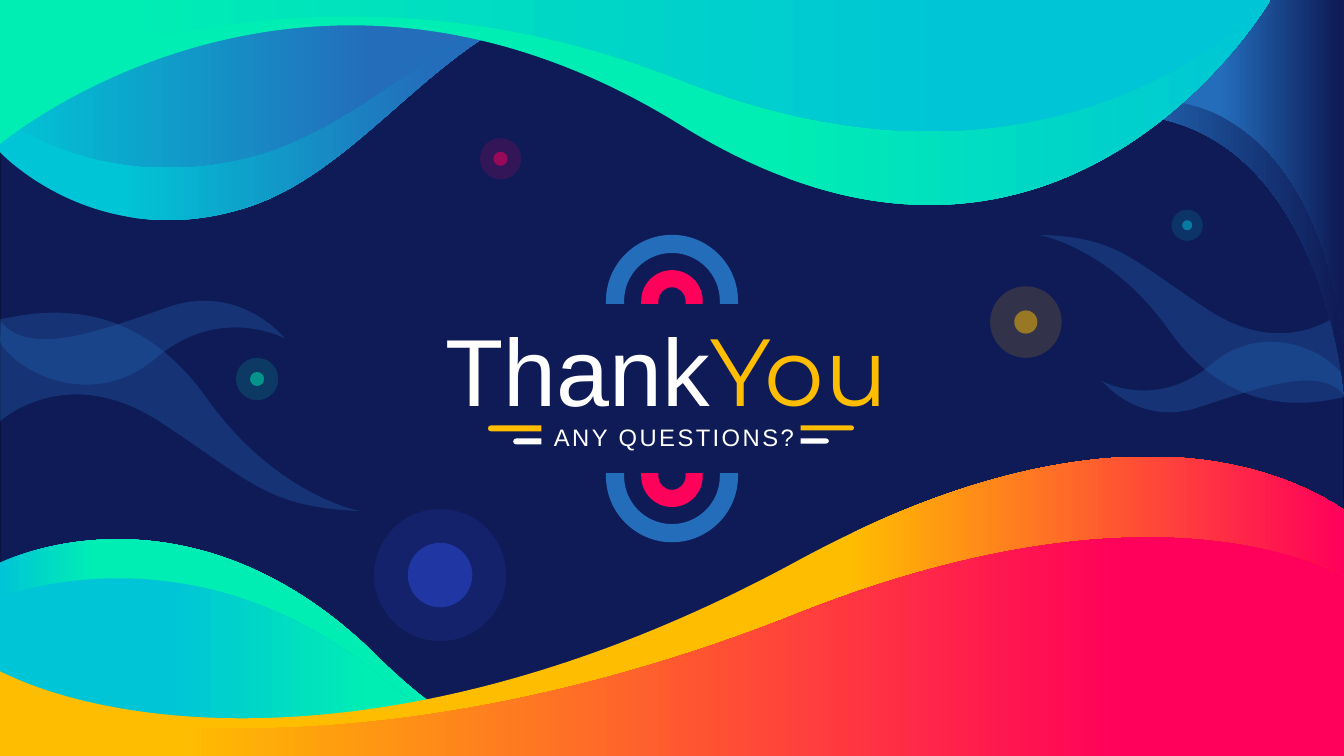
from dataclasses import dataclass

from lxml import etree
from pptx import Presentation
from pptx.dml.color import RGBColor
from pptx.enum.shapes import MSO_SHAPE
from pptx.enum.text import MSO_ANCHOR, MSO_AUTO_SIZE, PP_ALIGN
from pptx.oxml.ns import qn
from pptx.util import Pt

RECTANGLE, OVAL = MSO_SHAPE.RECTANGLE, MSO_SHAPE.OVAL
MIDDLE, CENTER = MSO_ANCHOR.MIDDLE, PP_ALIGN.CENTER
GROW = MSO_AUTO_SIZE.SHAPE_TO_FIT_TEXT
PX = 9144  # EMU in one px, at 100 px to the inch
ROUND = 0.55  # handle length of a quarter circle of radius 1


@dataclass(frozen=True)
class Theme:
    navy: str = "0F1B57"
    navy_edge: str = "0B1440"
    blue: str = "236DBB"
    indigo: str = "2E4BDB"
    teal: str = "00C5D6"
    mint: str = "00EEB3"
    yellow: str = "FFBD00"
    pink: str = "FF005B"
    white: str = "FFFFFF"
    font: str = "Arial"
    accent_font: str = "Montserrat"
    title_size: int = 68
    tagline_size: int = 17


THEME = Theme()


def rgb(colour):
    return RGBColor.from_string(colour)


def paint(shape, colour, alpha=100):
    """Fill with one colour, or with (position, colour) stops from left to right."""
    shape.shadow.inherit = False
    shape.line.fill.background()
    if isinstance(colour, str):
        shape.fill.solid()
        shape.fill.fore_color.rgb = rgb(colour)
        if alpha < 100:
            tint = shape.element.spPr.find(".//" + qn("a:srgbClr"))
            etree.SubElement(tint, qn("a:alpha"), val=str(alpha * 1000))
        return
    shape.fill.gradient()
    shape.fill.gradient_angle = 0
    for stop, (position, stop_colour) in zip(shape.fill.gradient_stops, colour):
        stop.position = position / 100
        stop.color.rgb = rgb(stop_colour)


def preset(slide, kind, box, colour, alpha=100):
    shape = slide.shapes.add_shape(kind, *(round(v * PX) for v in box))
    paint(shape, colour, alpha)
    return shape


def remap(path, move_x, move_y):
    return [tuple((move_x, move_y)[i % 2](v) for i, v in enumerate(step)) for step in path]


def extent(path, axis):
    """Lowest and highest value that the path reaches along one axis."""
    reached = [path[0][axis]]
    for step in path[1:]:
        start, values = reached[-1], step[axis::2]
        if len(values) == 3:
            a, b, c = values
            reached += [start * (1 - t) ** 3 + 3 * a * t * (1 - t) ** 2
                        + 3 * b * t * t * (1 - t) + c * t ** 3
                        for t in (i / 50 for i in range(50))]
        reached.append(values[-1])
    return min(reached), max(reached)


def outline(slide, box, path, colour, alpha=100):
    """Draw a closed path of points and cubic curves (six numbers) relative to the box."""
    path = remap(path, lambda x: round((box[0] + x) * PX), lambda y: round((box[1] + y) * PX))
    (left, right), (top, bottom) = (map(round, extent(path, axis)) for axis in (0, 1))
    builder = slide.shapes.build_freeform(*path[0], scale=1.0)
    builder.add_line_segments([step[-2:] for step in path[1:]], close=True)
    shape = builder.convert_to_shape()
    shape.left, shape.top, shape.width, shape.height = left, top, right - left, bottom - top
    geometry = shape.element.spPr.find(".//" + qn("a:path"))
    geometry.set("w", str(right - left))
    geometry.set("h", str(bottom - top))
    for segment, step in zip(list(geometry), remap(path, lambda x: x - left, lambda y: y - top)):
        if len(step) == 6:
            curve = etree.Element(qn("a:cubicBezTo"))
            for x, y in zip(step[::2], step[1::2]):
                etree.SubElement(curve, qn("a:pt"), x=str(x), y=str(y))
            geometry.replace(segment, curve)
        else:
            point = segment.find(qn("a:pt"))
            point.set("x", str(step[0]))
            point.set("y", str(step[1]))
    paint(shape, colour, alpha)


def wave_pair(slide, box, path, anchor, scale, back, front):
    """A wave with a smaller one in front, shrunk toward the anchor."""
    (ax, ay), (sx, sy) = anchor, scale
    outline(slide, box, path, back)
    shrunk = remap(path, lambda x: ax + (x - ax) * sx, lambda y: ay + (y - ay) * sy)
    outline(slide, box, shrunk, front)


def write(placeholder, box, runs, size, spacing=0, line_spacing=1.0):
    """Place a placeholder on top of the slide and set its (text, font, colour) runs."""
    placeholder.left, placeholder.top, placeholder.width, placeholder.height = (
        v * PX for v in box)
    placeholder.element.getparent().append(placeholder.element)
    frame = placeholder.text_frame
    frame.word_wrap = False
    frame.auto_size = GROW
    frame.vertical_anchor = MIDDLE
    frame.margin_left = frame.margin_right = frame.margin_top = frame.margin_bottom = 4 * PX
    paragraph = frame.paragraphs[0]
    paragraph.alignment = CENTER
    paragraph.line_spacing = line_spacing
    paragraph.space_before = Pt(0)
    for text, font, colour in runs:
        run = paragraph.add_run()
        run.text = text
        run.font.name, run.font.size = font, Pt(size)
        run.font.color.rgb = rgb(colour)
        if spacing:
            run.font._element.set("spc", str(round(spacing * 100)))


def backdrop(slide, box):
    panel = preset(slide, RECTANGLE, box, THEME.navy)
    panel.line.color.rgb = rgb(THEME.navy_edge)
    panel.line.width = Pt(1)


def top_waves(slide, box):
    right = box[2]
    corner = [(832, 0), (832, 0, 879, 127, 1094, 114), (1309, 100, right, 389, right, 389),
              (right, 0)]
    wave_pair(slide, box, corner, (right, 0), (0.87, 0.87),
              [(54, THEME.blue), (99, THEME.navy)], [(72, THEME.blue), (99, THEME.navy)])
    curl = [(0, 151), (0, 151, 95, 253, 244, 206), (373, 165, 453, 0, 595, 0), (0, 0)]
    wave_pair(slide, box, curl, (0, 0), (1, 0.76),
              [(20, THEME.teal), (72, THEME.blue)], [(0, THEME.teal), (62, THEME.blue)])
    sweep = [(1260, 0), (1260, 0, 1051, 358, 675, 124), (299, -109, 0, 143, 0, 143), (0, 0)]
    wave_pair(slide, box, sweep, (0, 0), (1, 0.64),
              [(60, THEME.mint), (100, THEME.teal)], [(8, THEME.mint), (76, THEME.teal)])


def bottom_waves(slide, box):
    right, base = box[2:]
    hill = [(0, 105), (0, base), (529, base), (483, 284, 430, 254, 373, 197),
            (290, 115, 200, 82, 117, 82), (75, 82, 36, 90, 0, 105)]
    wave_pair(slide, box, hill, (0, base), (1, 0.82),
              [(0, THEME.teal), (18, THEME.mint)], [(32, THEME.teal), (70, THEME.mint)])
    swell = [(790, 104), (416, 307, 122, 274, 0, 213), (0, base), (right, base), (right, 53),
             (1311, 38, 1247, 0, 1139, 0), (1051, 0, 935, 25, 790, 104)]
    wave_pair(slide, box, swell, (0, base), (1, 0.73),
              [(63, THEME.yellow), (100, THEME.pink)], [(13, THEME.yellow), (84, THEME.pink)])


def arches(slide, box):
    """Nested arches at the top of the box, mirrored at its foot."""
    def half_circle(rx, ry):
        return [(-rx, 3), (-rx, 0), (-rx, -ry * ROUND, -rx * ROUND, -ry, 0, -ry),
                (rx * ROUND, -ry, rx, -ry * ROUND, rx, 0), (rx, 3)]
    centre = box[2] / 2
    for outer, inner, colour in ((61, 27, THEME.pink), (box[2], 95, THEME.blue)):
        arch = half_circle(outer / 2, outer / 2) + half_circle(-inner / 2, inner / 2)
        upper = remap(arch, lambda x: x + centre, lambda y: y + centre)
        outline(slide, box, upper, colour)
        outline(slide, box, remap(upper, lambda x: x, lambda y: box[3] - y), colour)


def wordmark(slide, box):
    left, top, width = box[:3]
    for flat, tips, thickness in ((109, (56, 81), 6), (366, (419, 394), 5)):
        for tip, high, colour in zip(tips, (118, 131), (THEME.yellow, THEME.white)):
            radius = thickness / 2 if tip > flat else -thickness / 2
            low, neck, handle = high + thickness, tip - radius, tip + radius / 3
            outline(slide, box, [(flat, high), (neck, high),
                                 (handle, high, handle, low, neck, low), (flat, low)], colour)
    title, tagline = slide.shapes.title, slide.placeholders[1]
    write(tagline, (left + 115, top + 99, 251, 46),
          [("ANY QUESTIONS?", THEME.font, THEME.white)],
          THEME.tagline_size, spacing=1.7, line_spacing=1.5)
    write(title, (left, top, width, 123), [("Thank", THEME.font, THEME.white),
          ("You", THEME.accent_font, THEME.yellow)], THEME.title_size)


def glow(slide, box, core, colour):
    left, top, halo = box[:3]
    inset = (halo - core) / 2
    preset(slide, OVAL, box, colour, alpha=15)
    preset(slide, OVAL, (left + inset, top + inset, core, core), colour, alpha=50)


RIBBONS = [  # (box, path inside it)
    ((0, 299, 357, 208), [
        (357, 208), (357, 208, 274, 193, 205, 96), (136, -1, 52, 6, 0, 18), (0, 119),
        (0, 119, 65, 59, 158, 119), (251, 180, 265, 204, 357, 208)]),
    ((0, 299, 283, 83), [
        (169, 5), (239, -18, 283, 37, 283, 37), (283, 37, 219, 2, 155, 56),
        (90, 111, 14, 68, 0, 40), (1, 20), (29, 56, 100, 29, 169, 5)]),
    ((1030, 233, 303, 167), [
        (0, 0), (0, 0, 71, 12, 129, 94), (188, 177, 259, 171, 303, 161), (303, 75),
        (303, 75, 248, 126, 169, 75), (90, 23, 78, 2, 0, 0)]),
    ((1030, 233, 303, 176), [
        (159, 171), (100, 191, 63, 145, 63, 145), (63, 145, 117, 175, 172, 128),
        (227, 82, 292, 119, 303, 142), (303, 159), (279, 129, 218, 152, 159, 171)])]
GLOWS = [(371, 505, 131, 64, THEME.indigo), (234, 355, 42, 14, THEME.mint),
         (1162, 208, 31, 10, THEME.teal), (476, 137, 41, 14, THEME.pink),
         (982, 284, 71, 23, THEME.yellow)]

# Slide, from back to front
deck = Presentation()
deck.slide_width, deck.slide_height = 1333 * PX, 750 * PX
closing = deck.slides.add_slide(deck.slide_layouts[0])
backdrop(closing, (0, 0, 1333, 750))
for ribbon_box, ribbon in RIBBONS:
    outline(closing, ribbon_box, ribbon, THEME.blue, alpha=30)
top_waves(closing, (0, 0, 1333, 389))
bottom_waves(closing, (0, 453, 1333, 297))
for glow_left, glow_top, halo_size, core_size, glow_colour in GLOWS:
    glow(closing, (glow_left, glow_top, halo_size, halo_size), core_size, glow_colour)
arches(closing, (601, 233, 131, 305))
wordmark(closing, (428, 304, 467, 145))
deck.save("out.pptx")
